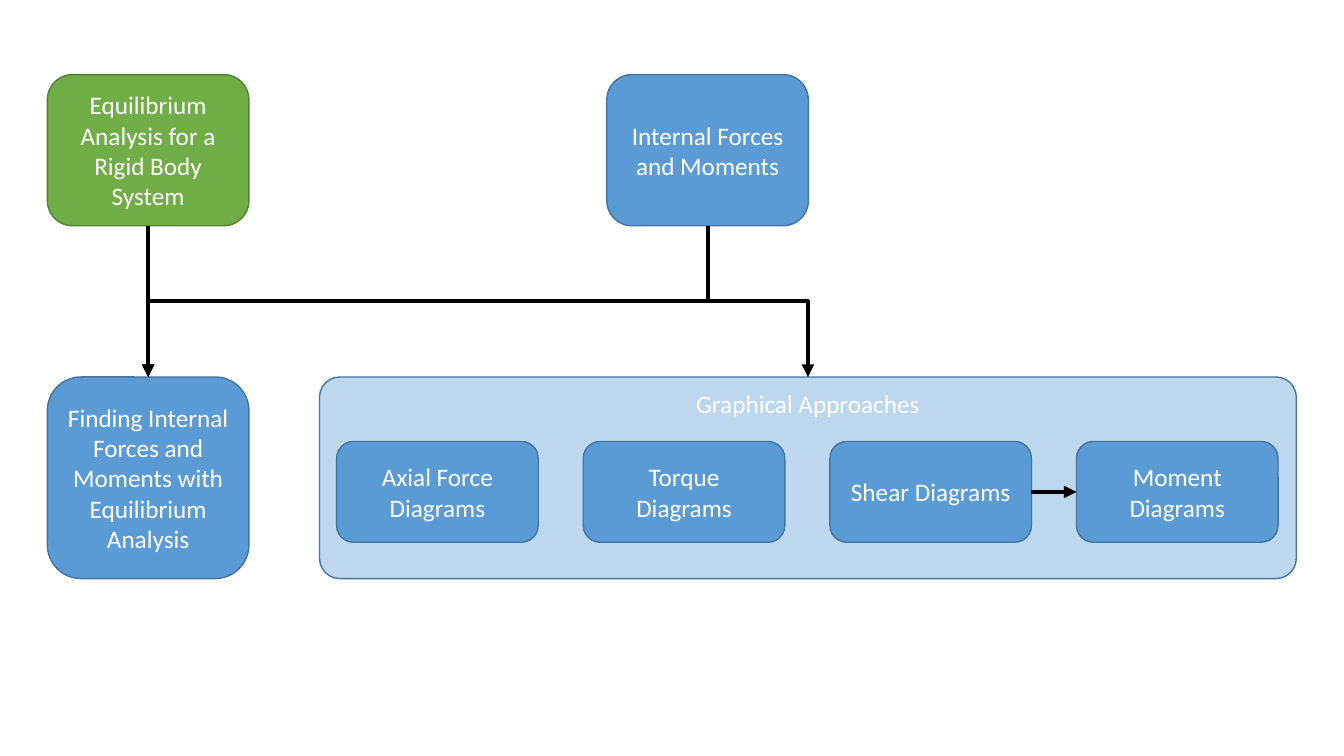
import pptx
import pptx.util
import pptx.dml.color
import pptx.enum.shapes
import pptx.enum.text
import pptx.oxml
import pptx.oxml.ns

Pt = pptx.util.Pt
BLUE = "5B9BD5"
EDGE = "43739E"
TOP, LEFT, RIGHT, BOTTOM = 0, 53.28, 433.44, 269.28
WIDE = 144


def color(text):
    return pptx.dml.color.RGBColor.from_string(text)


def add_box(slide, text, left, top, width, height, fill=BLUE, edge=EDGE):
    box = slide.shapes.add_shape(
        pptx.enum.shapes.MSO_SHAPE.ROUNDED_RECTANGLE,
        Pt(left), Pt(top), Pt(width), Pt(height))
    box.shadow.inherit = False
    box.fill.solid()
    box.fill.fore_color.rgb = color(fill)
    box.line.color.rgb = color(edge)
    box.line.width = Pt(1)
    frame = box.text_frame
    frame.word_wrap = True
    frame.vertical_anchor = pptx.enum.text.MSO_ANCHOR.MIDDLE
    frame.text = text
    para = frame.paragraphs[0]
    para.alignment = pptx.enum.text.PP_ALIGN.CENTER
    para.font.name = "Calibri"
    para.font.size = Pt(18)
    para.font.color.rgb = color("FFFFFF")
    return box


def add_arrow(slide, first, start, last, end, kind="STRAIGHT"):
    arrow = slide.shapes.add_connector(
        pptx.enum.shapes.MSO_CONNECTOR[kind], 0, 0, 0, 0)
    arrow.begin_connect(first, start)
    arrow.end_connect(last, end)
    arrow.line.color.rgb = color("000000")
    arrow.line.width = Pt(3)
    line = arrow.line._get_or_add_ln()
    tail = pptx.oxml.parse_xml(
        '<a:tailEnd %s type="triangle"/>' % pptx.oxml.ns.nsdecls("a"))
    line.append(tail)
    arrow._element.spPr.append(pptx.oxml.parse_xml(
        "<a:effectLst %s/>" % pptx.oxml.ns.nsdecls("a")))
    return arrow


def add_elbow(slide, first, last):
    arrow = add_arrow(slide, first, 2, last, 0, "ELBOW")
    right = arrow.end_x > arrow.begin_x
    mid_x = (arrow.begin_x + arrow.end_x) // 2
    mid_y = (arrow.begin_y + arrow.end_y) // 2
    width, height = arrow.height, arrow.width
    arrow.left, arrow.top = mid_x - width // 2, mid_y - height // 2
    arrow.width, arrow.height = width, height
    frame = arrow._element.spPr.find(pptx.oxml.ns.qn("a:xfrm"))
    frame.set("flipH", "1" if right else "0")
    frame.set("rot", str((270 if right else 90) * 60000))


def main():
    deck = pptx.Presentation()
    deck.slide_width, deck.slide_height = Pt(960), Pt(540)
    slide = deck.slides.add_slide(deck.slide_layouts[6])

    upper, lower, edge = 53.28, 269.28, 33.84
    force = add_box(slide, "Internal Forces and Moments",
                    433.44, upper, WIDE, 108)
    rigid = add_box(slide, "Equilibrium Analysis for a Rigid Body System",
                    edge, upper, WIDE, 108, "70AD47", "538035")
    find = add_box(
        slide, "Finding Internal Forces and Moments with Equilibrium Analysis",
        edge, lower, WIDE, 144)
    graph = add_box(slide, "Graphical Approaches",
                    228.24, lower, 697.68, 144, "BDD7EE")
    graph.adjustments[0] = 0.1
    graph.text_frame.vertical_anchor = pptx.enum.text.MSO_ANCHOR.TOP

    names = ["Axial Force", "Torque", "Shear", "Moment"]
    parts = [add_box(slide, name + " Diagrams",
                     240.48 + 176.16 * i, 315.36, WIDE, 72)
             for i, name in enumerate(names)]

    add_elbow(slide, force, find)
    add_elbow(slide, force, graph)
    add_arrow(slide, rigid, 2, find, 0)
    add_arrow(slide, parts[2], 3, parts[3], 1)
    deck.save("out.pptx")


if __name__ == "__main__":
    main()
